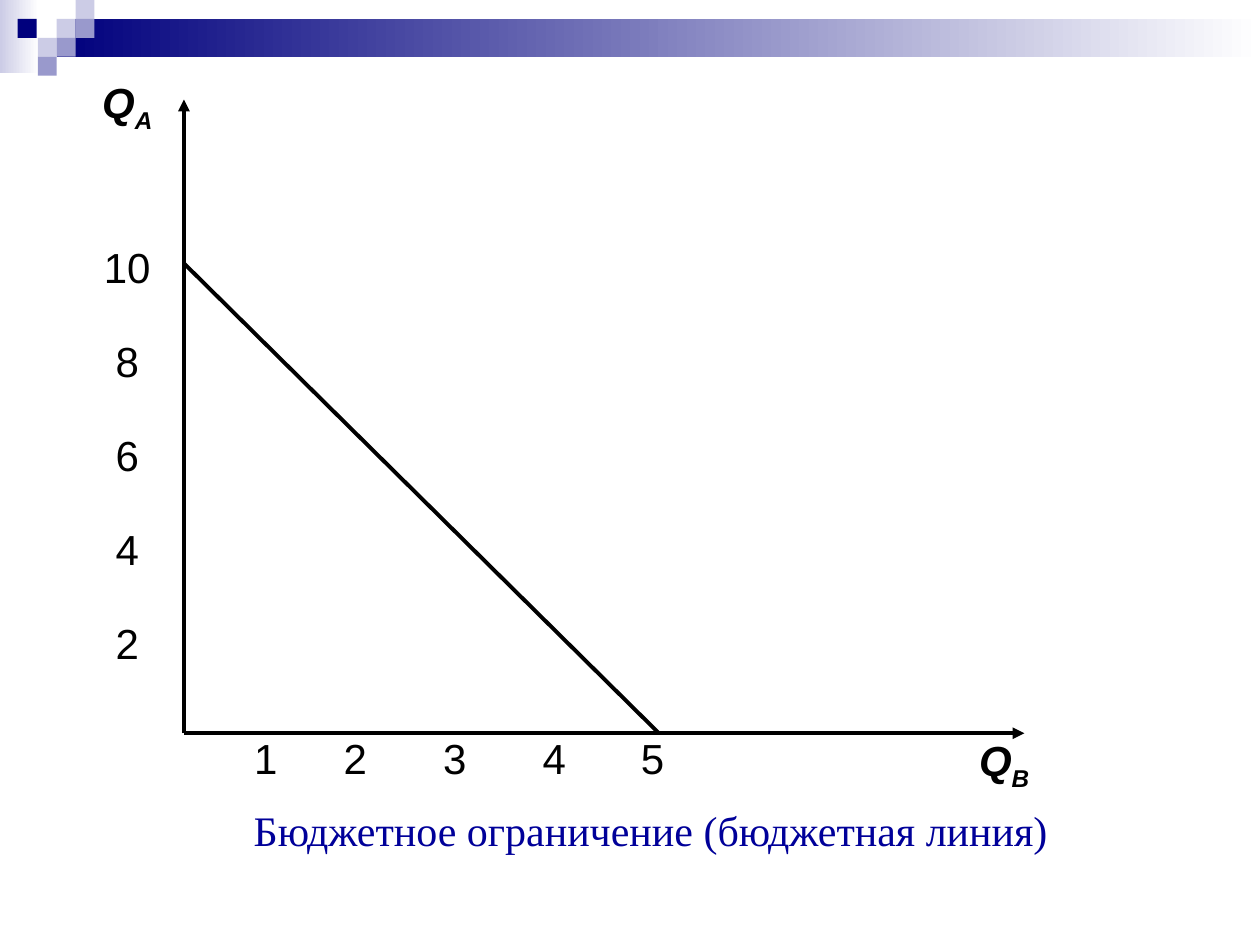
from lxml import etree
from pptx import Presentation
from pptx.dml.color import RGBColor
from pptx.enum.shapes import MSO_CONNECTOR, MSO_SHAPE
from pptx.enum.text import MSO_ANCHOR, PP_ALIGN
from pptx.oxml.ns import qn
from pptx.util import Inches, Pt

RECTANGLE = MSO_SHAPE.RECTANGLE
STRAIGHT = MSO_CONNECTOR.STRAIGHT
CENTER = PP_ALIGN.CENTER
MIDDLE = MSO_ANCHOR.MIDDLE
TOP = MSO_ANCHOR.TOP

NAVY = RGBColor(0x00, 0x00, 0x7D)
LAVENDER = RGBColor(0xCC, 0xCC, 0xE6)
PERIWINKLE = RGBColor(0x99, 0x99, 0xCC)
TITLE_BLUE = RGBColor(0x00, 0x00, 0x99)
BLACK = RGBColor(0x00, 0x00, 0x00)
WHITE = RGBColor(0xFF, 0xFF, 0xFF)

ORIGIN = (1.46, 5.82)
SQUARE = 0.15
DECOR_SQUARES = [
    (0.45, 0.15, LAVENDER),
    (0.6, 0, LAVENDER),
    (0.6, 0.15, PERIWINKLE),
    (0.3, 0.3, LAVENDER),
    (0.14, 0.15, NAVY),
    (0.45, 0.3, PERIWINKLE),
    (0.3, 0.45, PERIWINKLE),
]


def add_rectangle(slide, left, top, width, height, color, fade=None):
    shape = slide.shapes.add_shape(
        RECTANGLE, Inches(left), Inches(top), Inches(width), Inches(height)
    )
    shape.shadow.inherit = False
    shape.line.fill.background()
    if fade is None:
        shape.fill.solid()
        shape.fill.fore_color.rgb = color
        return
    shape.fill.gradient()
    shape.fill.gradient_angle = 0
    for stop, position, stop_color in zip(
        shape.fill.gradient_stops, (0, 1), (color, fade)
    ):
        stop.position = position
        stop.color.rgb = stop_color


def add_run(paragraph, text, size=24, font="Arial", color=BLACK,
            emphasis=False, subscript=False):
    run = paragraph.add_run()
    run.text = text
    run.font.size = Pt(size)
    run.font.name = font
    run.font.color.rgb = color
    run.font.bold = emphasis
    run.font.italic = emphasis
    if subscript:
        run.font._element.set("baseline", "-25000")


def add_label(slide, left, top, text, subscript=""):
    box = slide.shapes.add_textbox(
        Inches(left), Inches(top), Inches(0.84), Inches(0.45)
    )
    frame = box.text_frame
    frame.word_wrap = True
    frame.vertical_anchor = TOP
    frame.margin_left = frame.margin_right = Inches(0.02)
    frame.margin_top = frame.margin_bottom = Inches(0.01)
    paragraph = frame.paragraphs[0]
    paragraph.alignment = CENTER
    add_run(paragraph, text, emphasis=bool(subscript))
    if subscript:
        add_run(paragraph, subscript, emphasis=True, subscript=True)


def add_line(slide, start, end, arrow=False):
    connector = slide.shapes.add_connector(
        STRAIGHT, *(Inches(value) for value in (*start, *end))
    )
    connector.line.color.rgb = BLACK
    connector.line.width = Pt(2.25)
    if arrow:
        line = connector.line._get_or_add_ln()
        etree.SubElement(line, qn("a:tailEnd"), type="triangle")
    etree.SubElement(connector._element.spPr, qn("a:effectLst"))


def format_title(slide):
    title = slide.shapes.title
    title.left, title.top = Inches(0.75), Inches(5.72)
    title.width, title.height = Inches(9), Inches(1.5)
    title.text_frame.vertical_anchor = MIDDLE
    paragraph = title.text_frame.paragraphs[0]
    paragraph.alignment = CENTER
    add_run(paragraph, "Бюджетное ограничение (бюджетная линия)",
            font="Times New Roman", color=TITLE_BLUE)
    add_run(paragraph, " ", size=44)


def add_decoration(slide):
    add_rectangle(slide, 0, 0, 0.31, 0.58, LAVENDER, fade=WHITE)
    add_rectangle(slide, 0.45, 0.15, 9.55, 0.3, NAVY, fade=WHITE)
    for left, top, color in DECOR_SQUARES:
        add_rectangle(slide, left, top, SQUARE, SQUARE, color)


def add_budget_graph(slide):
    add_label(slide, 0.59, 0.6, "Q", subscript="А")
    add_label(slide, 7.55, 5.82, "Q", subscript="В")
    for index, quantity in enumerate(range(10, 0, -2)):
        add_label(slide, 0.59, 1.91 + 0.745 * index, str(quantity))
    for quantity, left in enumerate((1.69, 2.4, 3.19, 3.98, 4.76), start=1):
        add_label(slide, left, 5.8, str(quantity))
    add_line(slide, ORIGIN, (ORIGIN[0], 0.79), arrow=True)
    add_line(slide, ORIGIN, (8.13, ORIGIN[1]), arrow=True)
    add_line(slide, (ORIGIN[0], 2.09), (5.23, ORIGIN[1]))


def main():
    presentation = Presentation()
    presentation.slide_width = Inches(10)
    presentation.slide_height = Inches(7.5)
    slide = presentation.slides.add_slide(presentation.slide_layouts[5])
    add_decoration(slide)
    format_title(slide)
    add_budget_graph(slide)
    presentation.save("out.pptx")


if __name__ == "__main__":
    main()
